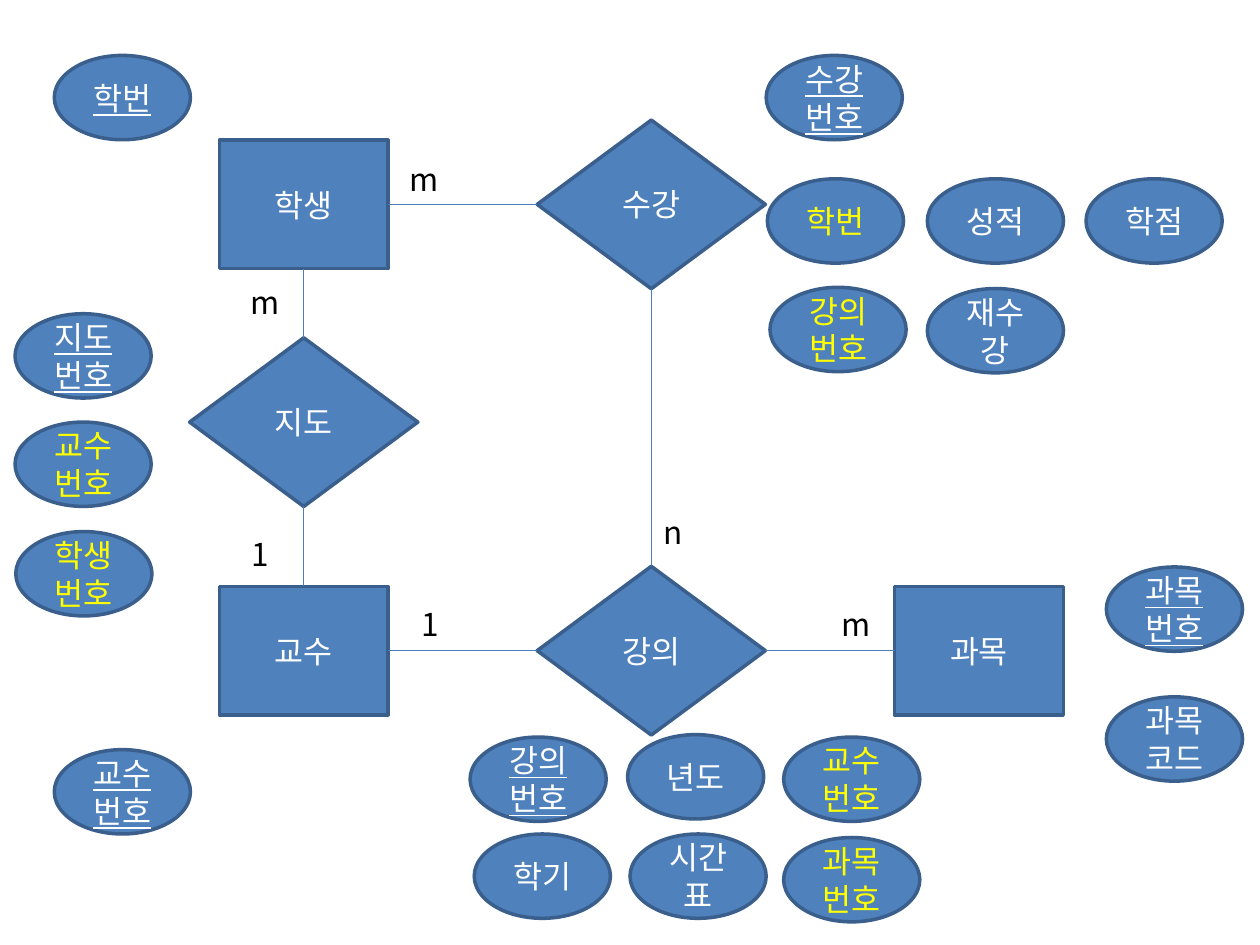
from lxml import etree
from pptx import Presentation
from pptx.dml.color import RGBColor
from pptx.enum.shapes import MSO_CONNECTOR, MSO_SHAPE
from pptx.enum.text import MSO_ANCHOR, PP_ALIGN
from pptx.oxml.ns import qn
from pptx.util import Pt

RECT, DIAMOND, OVAL = MSO_SHAPE.RECTANGLE, MSO_SHAPE.DIAMOND, MSO_SHAPE.OVAL
STRAIGHT = MSO_CONNECTOR.STRAIGHT
CENTER, MIDDLE = PP_ALIGN.CENTER, MSO_ANCHOR.MIDDLE
TOP, LEFT, BOTTOM, RIGHT = range(4)

BLUE = RGBColor(0x4F, 0x81, 0xBD)
EDGE = RGBColor(0x3A, 0x5F, 0x8C)
LINK = RGBColor(0x4B, 0x7E, 0xBC)
WHITE = RGBColor(0xFF, 0xFF, 0xFF)
YELLOW = RGBColor(0xFF, 0xFF, 0x00)
BLACK = RGBColor(0, 0, 0)
FONT = "Noto Sans CJK KR"

SIZES = {RECT: (96.4, 73.4), DIAMOND: (130.4, 96.4), OVAL: (77.8, 48.2)}
COLS = (173.6, 372.2, 559.4)
ROWS = (116.8, 241.2, 371.8)

# name: (kind, column, row)
NODES = {
    "학생": (RECT, 0, 0),
    "수강": (DIAMOND, 1, 0),
    "지도": (DIAMOND, 0, 1),
    "교수": (RECT, 0, 2),
    "강의": (DIAMOND, 1, 2),
    "과목": (RECT, 2, 2),
}

# from, side, to, side, count, left and top of the count
LINKS = [
    ("학생", BOTTOM, "지도", TOP, "m", 136.1, 158.4),
    ("지도", BOTTOM, "교수", TOP, "1", 136.8, 302.4),
    ("교수", RIGHT, "강의", LEFT, "1", 234, 342),
    ("강의", RIGHT, "과목", LEFT, "m", 473.8, 342),
    ("학생", RIGHT, "수강", LEFT, "m", 226.8, 87.8),
    ("수강", BOTTOM, "강의", TOP, "n", 372.2, 289.4),
]

# Attributes by role: text, left, top
KEYS = [
    ("학번", 31, 31.7), ("교수번호", 31, 428.4), ("과목번호", 632.2, 324),
    ("지도번호", 8.6, 179.3), ("강의번호", 268.6, 421.2),
    ("수강번호", 437.8, 31.7),
]
FOREIGN = [
    ("교수번호", 8.6, 241.2), ("학생번호", 9, 303.8),
    ("교수번호", 447.8, 421.2), ("과목번호", 447.8, 478.6),
    ("학번", 438.5, 102.2), ("강의번호", 440, 164.2),
]
PLAIN = [
    ("과목코드", 632.2, 398.2), ("년도", 358.6, 419.8), ("학기", 271, 476.6),
    ("시간표", 360, 476.6), ("성적", 529.9, 102.2), ("재수강", 529.9, 164.9),
    ("학점", 620.6, 102.2),
]


def write(frame, text, color, under=None):
    """Put one styled paragraph in a text frame and return it."""
    para = frame.paragraphs[0]
    para.text = text
    font = para.font
    font.name, font.size, font.underline = FONT, Pt(18), under
    font.color.rgb = color
    props = para._p.pPr.find(qn("a:defRPr"))
    etree.SubElement(props, qn("a:ea"), typeface=FONT)
    return para


def add_node(kind, text, left, top, color=WHITE, under=None):
    """Draw a blue shape with centred text."""
    wide, high = SIZES[kind]
    node = shapes.add_shape(kind, Pt(left), Pt(top), Pt(wide), Pt(high))
    node.shadow.inherit = False
    node.fill.solid()
    node.fill.fore_color.rgb = BLUE
    node.line.color.rgb = EDGE
    node.line.width = Pt(2)
    node.text_frame.vertical_anchor = MIDDLE
    node.text_frame.word_wrap = True
    write(node.text_frame, text, color, under).alignment = CENTER
    return node


def add_link(start, out, end, into):
    """Join two nodes with a thin line."""
    line = shapes.add_connector(STRAIGHT, 0, 0, 0, 0)
    line.begin_connect(start, out)
    line.end_connect(end, into)
    line.line.color.rgb = LINK
    line.line.width = Pt(0.75)
    etree.SubElement(line._element.spPr, qn("a:effectLst"))


def add_count(text, left, top):
    """Write the count beside a link."""
    wide = 24.5 if text == "1" else 25.2 if text == "n" else 30.2
    box = shapes.add_textbox(Pt(left), Pt(top), Pt(wide), Pt(29))
    box.text_frame.word_wrap = False
    write(box.text_frame, text, BLACK)


deck = Presentation()
deck.slide_width, deck.slide_height = Pt(720), Pt(540)
shapes = deck.slides.add_slide(deck.slide_layouts[6]).shapes

nodes = {}
for name, (kind, col, row) in NODES.items():
    wide, high = SIZES[kind]
    nodes[name] = add_node(kind, name, COLS[col] - wide / 2,
                           ROWS[row] - high / 2)

for start, out, end, into, count, left, top in LINKS:
    add_link(nodes[start], out, nodes[end], into)
    add_count(count, left, top)

for group, color, under in ((KEYS, WHITE, True), (FOREIGN, YELLOW, None),
                            (PLAIN, WHITE, None)):
    for text, left, top in group:
        add_node(OVAL, text, left, top, color, under)

deck.save("out.pptx")
